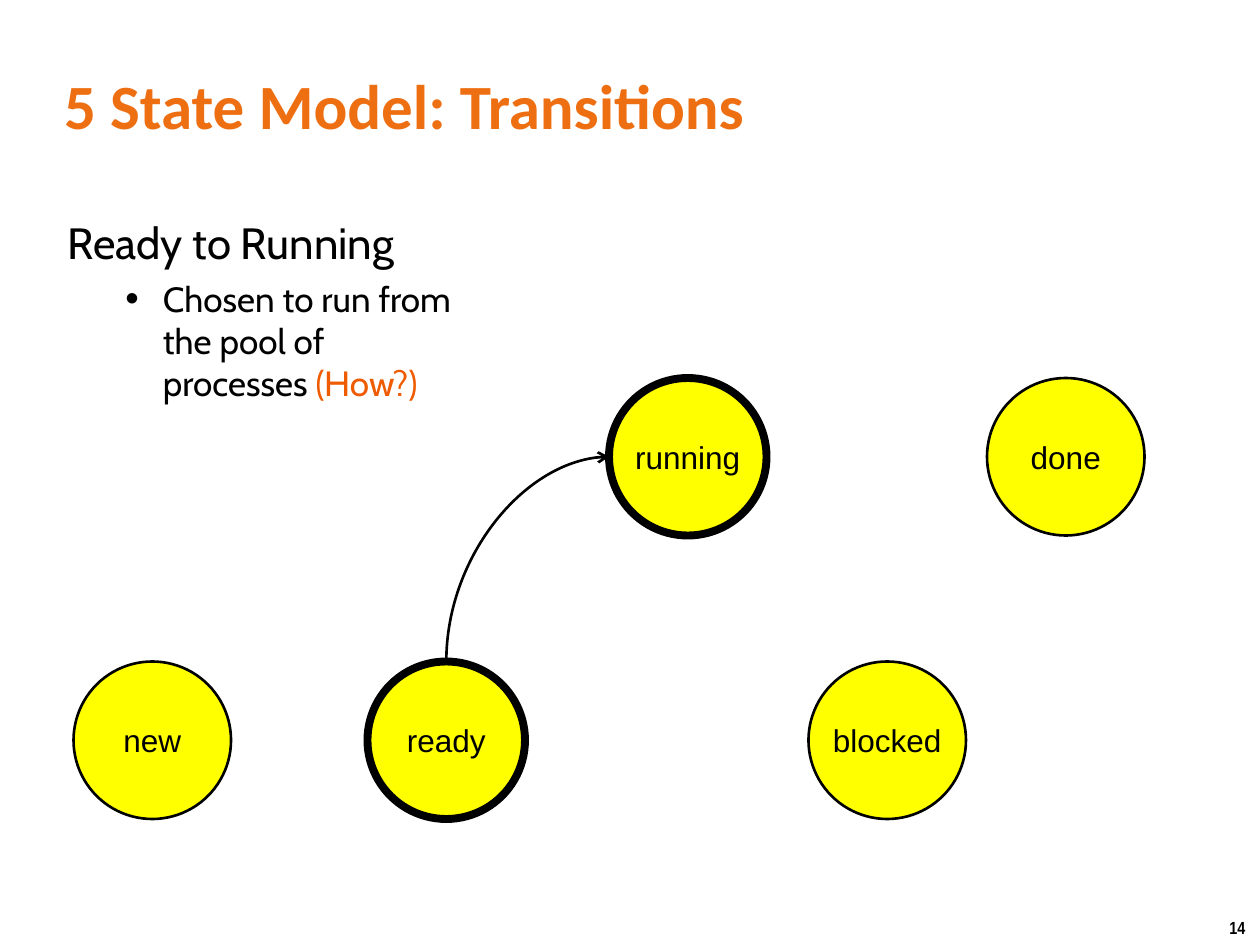
from dataclasses import dataclass

from lxml.etree import SubElement
from pptx import Presentation
from pptx.dml.color import RGBColor
from pptx.enum.shapes import MSO_CONNECTOR as Connector, MSO_SHAPE as Preset
from pptx.enum.text import MSO_ANCHOR as Anchor, PP_ALIGN as Align
from pptx.oxml.ns import qn
from pptx.slide import Slide
from pptx.text.text import TextFrame, _Paragraph as Paragraph, _Run as Run
from pptx.util import Pt

BLACK = RGBColor(0x00, 0x00, 0x00)
YELLOW = RGBColor(0xFF, 0xFF, 0x00)
TITLE_ORANGE = RGBColor(0xEE, 0x6E, 0x12)
ACCENT_ORANGE = RGBColor(0xEF, 0x5B, 0x00)

DIAMETER = 90
UPPER_ROW = 216
LOWER_ROW = 378
THIN = 1.5
THICK = 4.5


@dataclass(frozen=True)
class State:
    name: str
    left: float
    top: float
    outline: float = THIN


READY = State("ready", 210, LOWER_ROW, THICK)
RUNNING = State("running", 348, UPPER_ROW, THICK)
STATES = [
    State("new", 42, LOWER_ROW),
    READY,
    RUNNING,
    State("done", 564, UPPER_ROW),
    State("blocked", 462, LOWER_ROW),
]


def style(span: Run, font: str, size: float, color: RGBColor = BLACK, bold: bool = False) -> None:
    span.font.name = font
    span.font.size = Pt(size)
    span.font.bold = bold
    span.font.color.rgb = color


def add_text(page: Slide, left: float, top: float, width: float, height: float,
             text: str, wrap: bool = True) -> TextFrame:
    box = page.shapes.add_textbox(Pt(left), Pt(top), Pt(width), Pt(height))
    frame = box.text_frame
    frame.word_wrap = wrap
    frame.text = text
    return frame


def indent(para: Paragraph, margin: float, first_line: float = 0) -> None:
    properties = para._p.get_or_add_pPr()
    properties.set("marL", str(Pt(margin)))
    properties.set("indent", str(Pt(first_line)))


def add_bullet(para: Paragraph) -> None:
    properties = para._p.get_or_add_pPr()
    SubElement(properties, qn("a:buSzPct")).set("val", "110000")
    SubElement(properties, qn("a:buFont")).set("typeface", "Arial")
    SubElement(properties, qn("a:buChar")).set("char", "•")


def add_body(page: Slide) -> None:
    frame = add_text(page, 29.5, 120, 660, 390, "Ready to Running")
    heading = frame.paragraphs[0]
    heading.space_before = Pt(18)
    indent(heading, 2)
    style(heading.runs[0], "Cabin", 25)

    detail = frame.add_paragraph()
    detail.text = "Chosen to run from\vthe pool of\vprocesses "
    detail.level = 1
    detail.space_before = Pt(4.8)
    indent(detail, 56.5, -21.5)
    add_bullet(detail)
    for span in detail.runs:
        style(span, "Cabin", 20)
    question = detail.add_run()
    question.text = "(How?)"
    style(question, "Cabin", 20, ACCENT_ORANGE)


def add_state(page: Slide, state: State) -> None:
    circle = page.shapes.add_shape(Preset.OVAL, Pt(state.left), Pt(state.top),
                                   Pt(DIAMETER), Pt(DIAMETER))
    circle.shadow.inherit = False
    circle.fill.solid()
    circle.fill.fore_color.rgb = YELLOW
    circle.line.color.rgb = BLACK
    circle.line.width = Pt(state.outline)
    frame = circle.text_frame
    frame.margin_left = frame.margin_right = 0
    frame.vertical_anchor = Anchor.MIDDLE
    frame.text = state.name
    para = frame.paragraphs[0]
    para.alignment = Align.CENTER
    style(para.runs[0], "Arial", 18)


def add_transition(page: Slide, source: State, target: State) -> None:
    start_x, start_y = source.left + DIAMETER / 2, source.top
    end_x, end_y = target.left, target.top + DIAMETER / 2
    center_x, center_y = (start_x + end_x) / 2, (start_y + end_y) / 2
    half_width, half_height = (start_y - end_y) / 2, (end_x - start_x) / 2
    arrow = page.shapes.add_connector(
        Connector.CURVE,
        Pt(center_x + half_width), Pt(center_y + half_height),
        Pt(center_x - half_width), Pt(center_y - half_height))
    arrow.line.color.rgb = BLACK
    arrow.line.width = Pt(THIN)
    properties = arrow._element.spPr
    properties.find(qn("a:xfrm")).set("rot", str(90 * 60000))
    properties.find(qn("a:prstGeom")).set("prst", "curvedConnector2")
    SubElement(properties.find(qn("a:ln")), qn("a:tailEnd")).set("type", "arrow")
    SubElement(properties, qn("a:effectLst"))


def main() -> None:
    deck = Presentation()
    deck.slide_width, deck.slide_height = Pt(720), Pt(540)
    page = deck.slides.add_slide(deck.slide_layouts[6])

    number = add_text(page, 695.5, 520.5, 24.5, 19.5, "14", wrap=False)
    style(number.paragraphs[0].runs[0], "Arial Narrow", 10, bold=True)

    title = add_text(page, 29.5, 29.5, 660, 60, "5 State Model: Transitions")
    title.vertical_anchor = Anchor.MIDDLE
    indent(title.paragraphs[0], 9.4, -9.4)
    style(title.paragraphs[0].runs[0], "Calibri", 36, TITLE_ORANGE, bold=True)

    add_body(page)
    for state in STATES:
        add_state(page, state)
    add_transition(page, READY, RUNNING)
    deck.save("out.pptx")


if __name__ == "__main__":
    main()
